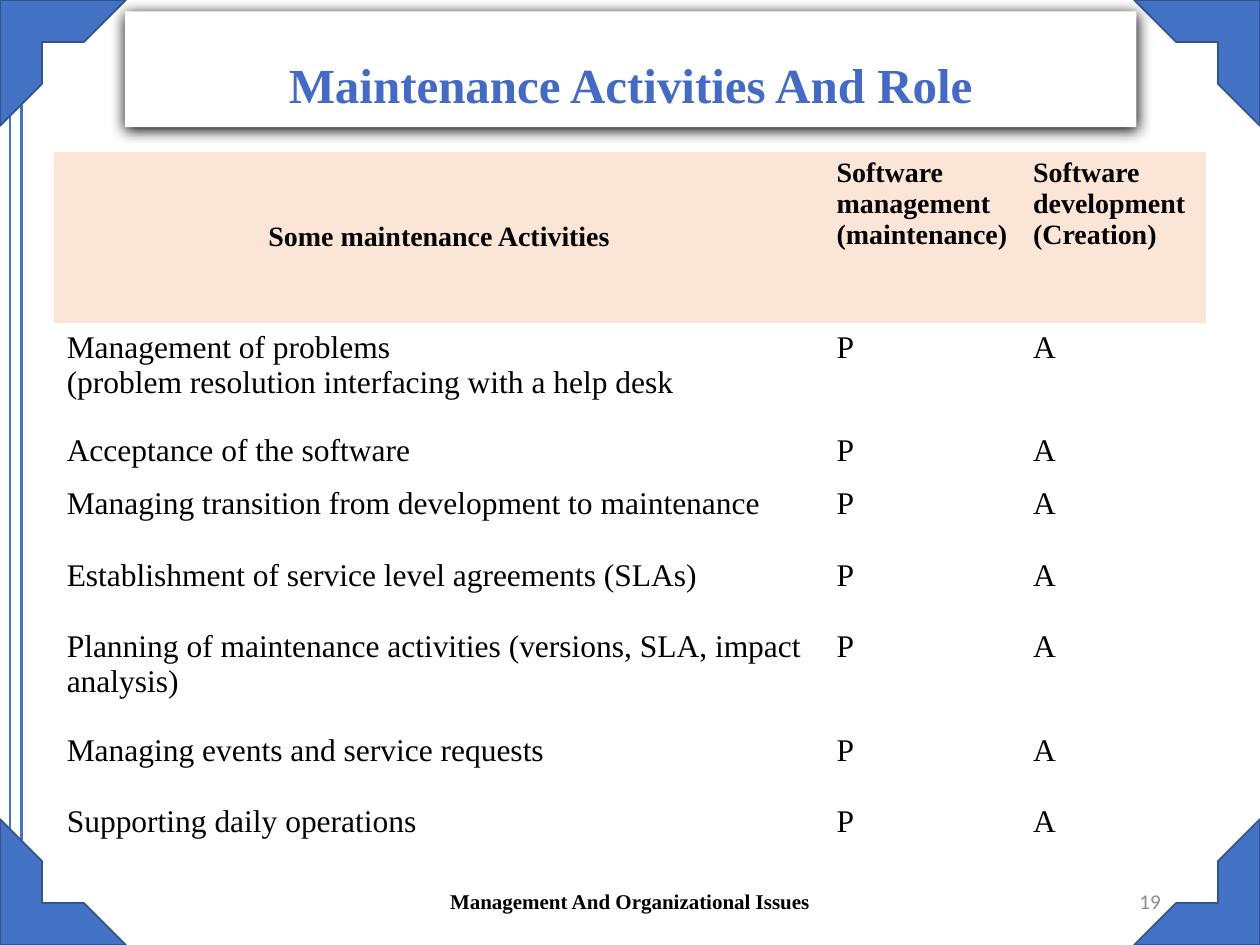
from dataclasses import dataclass

from lxml import etree
from pptx import Presentation
from pptx import util as u
from pptx.dml.color import RGBColor
from pptx.enum import shapes, text
from pptx.oxml import ns, parse_xml

Inches, Pt = u.Inches, u.Pt
ALIGN, ANCHOR = text.PP_ALIGN, text.MSO_ANCHOR


@dataclass(frozen=True)
class Theme:
    serif: str = "Times New Roman"
    sans: str = "Calibri"
    blue: str = "4472C4"
    dark_blue: str = "325491"
    title_blue: str = "456AC4"
    peach: str = "FBE5D6"
    white: str = "FFFFFF"
    black: str = "000000"
    grey: str = "8C8C8C"
    title_size: int = 28
    body_size: int = 18
    header_size: int = 16
    footer_size: int = 12


@dataclass(frozen=True)
class Corner:
    left: float
    top: float
    rotation: int


@dataclass(frozen=True)
class Rail:
    x: float
    top: float
    bottom: float


@dataclass(frozen=True)
class Footer:
    text: str
    left: float
    width: float
    alignment: ALIGN
    font: str
    color: str
    bold: bool


@dataclass(frozen=True)
class Activity:
    name: str
    height: float
    management: str = "P"
    development: str = "A"


THEME = Theme()
CORNERS = [Corner(0, 0, 0), Corner(9, 0, 90), Corner(9, 6.5, 180), Corner(0, 6.5, 270)]
RAILS = [Rail(0.08, 0.91, 6.61), Rail(0.17, 0.83, 6.67)]
FOOTERS = [
    Footer("Management And Organizational Issues", 3.31, 3.38, ALIGN.CENTER,
           THEME.serif, THEME.black, True),
    Footer("19", 7.06, 2.25, ALIGN.RIGHT, THEME.sans, THEME.grey, False),
]
COLUMN_WIDTHS = [6.11, 1.56, 1.47]
HEADER_HEIGHT = 1.37
HEADERS = ["Some maintenance Activities", "Software management\n(maintenance)",
           "Software development\n(Creation)"]
# A vertical tab is a line break inside one paragraph.
ACTIVITIES = [
    Activity("Management of problems \v(problem resolution interfacing with a help desk", 0.82),
    Activity("Acceptance of the software", 0.42),
    Activity("Managing transition from development to maintenance", 0.57),
    Activity("Establishment of service level agreements (SLAs)", 0.57),
    Activity("Planning of maintenance activities (versions, SLA, impact analysis)", 0.82),
    Activity("Managing events and service requests", 0.57),
    Activity("Supporting daily operations", 0.42),
]


def rgb(color: str) -> RGBColor:
    return RGBColor.from_string(color)


def fill_solid(target, color: str) -> None:
    target.fill.solid()
    target.fill.fore_color.rgb = rgb(color)


def format_text(frame, size: int, color: str, font: str = THEME.serif,
                bold: bool = False, alignment: ALIGN = ALIGN.LEFT) -> None:
    for paragraph in frame.paragraphs:
        paragraph.alignment = alignment
        for run in paragraph.runs:
            run.font.name = font
            run.font.size = Pt(size)
            run.font.bold = bold
            run.font.color.rgb = rgb(color)


def add_corner(slide, corner: Corner) -> None:
    shape = slide.shapes.add_shape(shapes.MSO_SHAPE.HALF_FRAME, Inches(corner.left),
                                   Inches(corner.top), Inches(1), Inches(1))
    shape.rotation = corner.rotation
    shape.shadow.inherit = False
    fill_solid(shape, THEME.blue)
    shape.line.color.rgb = rgb(THEME.dark_blue)
    shape.line.width = Pt(1)


def add_rail(slide, rail: Rail) -> None:
    line = slide.shapes.add_connector(shapes.MSO_CONNECTOR.STRAIGHT, Inches(rail.x),
                                      Inches(rail.top), Inches(rail.x), Inches(rail.bottom))
    line.line.color.rgb = rgb(THEME.blue)
    line.line.width = Pt(1.5)
    etree.SubElement(line.element.spPr, ns.qn("a:effectLst"))


def add_footer(slide, footer: Footer) -> None:
    box = slide.shapes.add_textbox(Inches(footer.left), Inches(6.95),
                                   Inches(footer.width), Inches(0.4))
    frame = box.text_frame
    frame.word_wrap = True
    frame.vertical_anchor = ANCHOR.MIDDLE
    frame.text = footer.text
    format_text(frame, THEME.footer_size, footer.color, footer.font,
                footer.bold, footer.alignment)


def place_title(slide, words: str) -> None:
    """Turn the title placeholder into a white plate with a shadow, in front of the corners."""
    title = slide.shapes.title
    title.left, title.top = Inches(0.99), Inches(0.09)
    title.width, title.height = Inches(8.03), Inches(0.92)
    fill_solid(title, THEME.white)
    title.element.spPr.append(parse_xml(
        f'<a:effectLst {ns.nsdecls("a")}>'
        f'<a:outerShdw blurRad="{Pt(8.5)}" dist="{Pt(1)}" dir="5400000" '
        f'algn="t" rotWithShape="0"><a:srgbClr val="{THEME.black}"/></a:outerShdw>'
        '</a:effectLst>'))
    frame = title.text_frame
    frame.text = words
    frame.auto_size = text.MSO_AUTO_SIZE.NONE
    frame.vertical_anchor = ANCHOR.MIDDLE
    frame.paragraphs[0].line_spacing = 1.5
    format_text(frame, THEME.title_size, THEME.title_blue, bold=True, alignment=ALIGN.CENTER)
    title.element.getparent().append(title.element)


def set_borders(cell) -> None:
    """Rule the cell in white above and below, and leave its sides open."""
    white = f'<a:solidFill><a:srgbClr val="{THEME.white}"/></a:solidFill>'
    sides = {"lnL": "<a:noFill/>", "lnR": "<a:noFill/>", "lnT": white, "lnB": white}
    properties = cell._tc.get_or_add_tcPr()
    for index, (side, paint) in enumerate(sides.items()):
        properties.insert(index, parse_xml(
            f'<a:{side} {ns.nsdecls("a")} w="{Pt(1)}">{paint}</a:{side}>'))


def add_activity_table(slide) -> None:
    heights = [HEADER_HEIGHT] + [activity.height for activity in ACTIVITIES]
    rows = [HEADERS] + [[a.name, a.management, a.development] for a in ACTIVITIES]
    table = slide.shapes.add_table(len(rows), len(COLUMN_WIDTHS), Inches(0.43), Inches(1.2),
                                   Inches(sum(COLUMN_WIDTHS)), Inches(sum(heights))).table
    table.first_row = table.horz_banding = False
    for column, width in zip(table.columns, COLUMN_WIDTHS):
        column.width = Inches(width)
    for row_index, (row, height, words) in enumerate(zip(table.rows, heights, rows)):
        row.height = Inches(height)
        is_header = row_index == 0
        for cell, content in zip(row.cells, words):
            cell.text = content
            fill_solid(cell, THEME.peach if is_header else THEME.white)
            set_borders(cell)
            format_text(cell.text_frame, THEME.header_size if is_header else THEME.body_size,
                        THEME.black, bold=is_header)
    heading = table.cell(0, 0)
    heading.vertical_anchor = ANCHOR.MIDDLE
    heading.text_frame.paragraphs[0].alignment = ALIGN.CENTER


def main() -> None:
    presentation = Presentation()
    presentation.slide_width, presentation.slide_height = Inches(10), Inches(7.5)
    slide = presentation.slides.add_slide(presentation.slide_layouts.get_by_name("Title Only"))
    for rail in RAILS:
        add_rail(slide, rail)
    for corner in CORNERS:
        add_corner(slide, corner)
    for footer in FOOTERS:
        add_footer(slide, footer)
    place_title(slide, "Maintenance Activities And Role")
    add_activity_table(slide)
    presentation.save("out.pptx")


if __name__ == "__main__":
    main()
